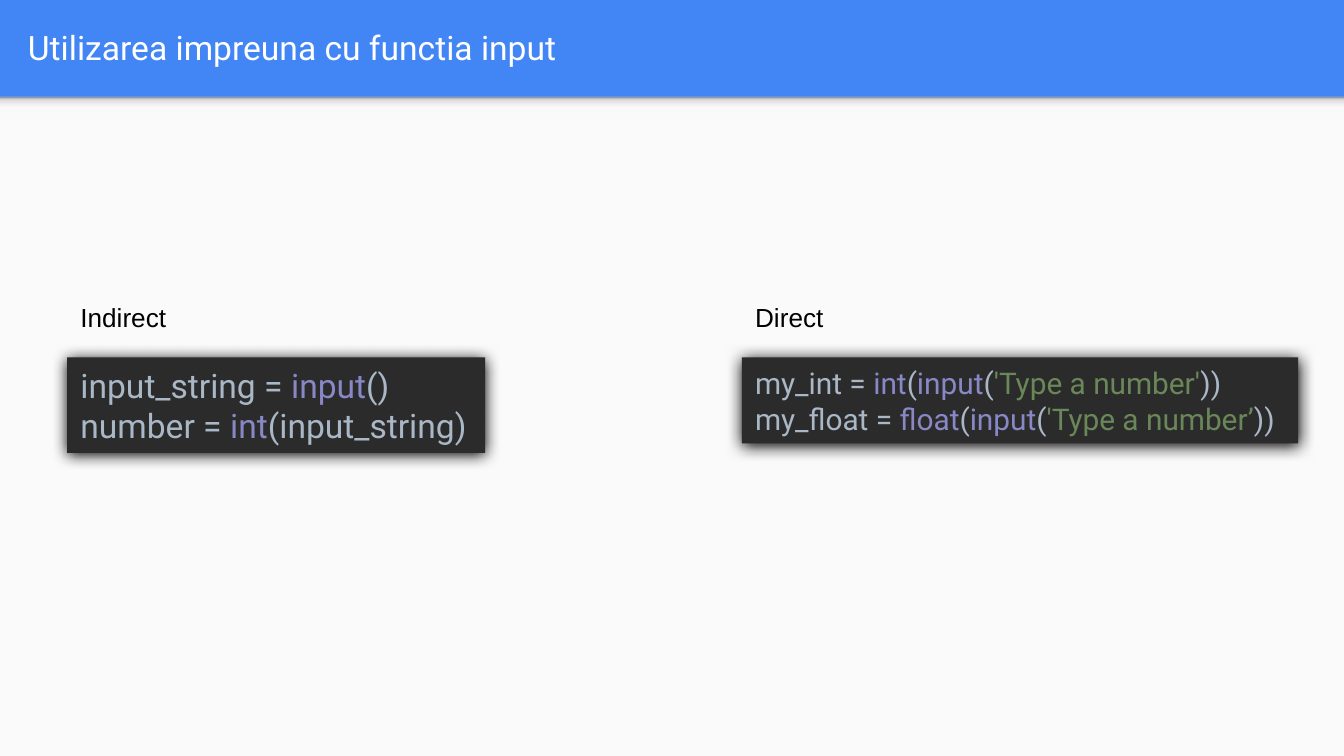
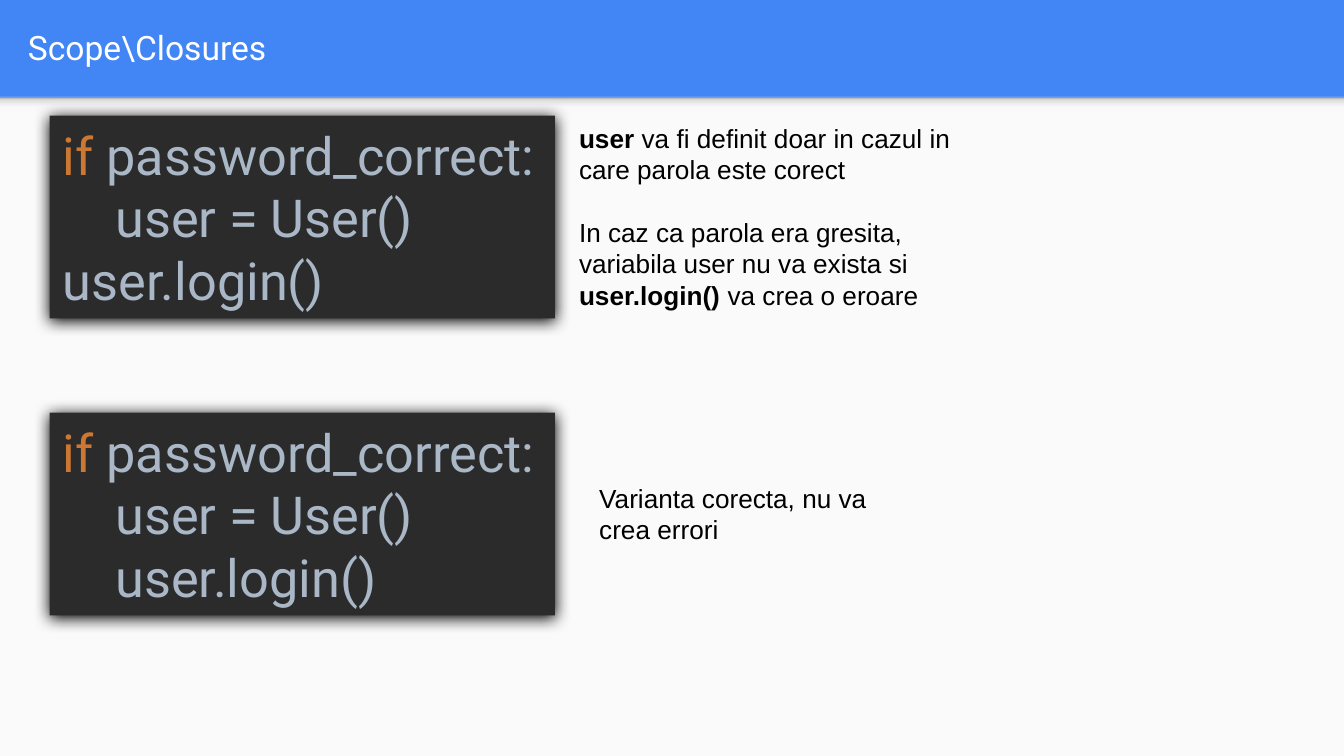
from lxml import etree
from pptx import Presentation
from pptx import util as u
from pptx.dml.color import RGBColor
from pptx.enum import shapes, text
from pptx.oxml.ns import qn

Inches, Pt = u.Inches, u.Pt
SLIDE_WIDTH = 10
SLIDE_HEIGHT = SLIDE_WIDTH * 9 / 16
BLUE, PAPER, WHITE, BLACK = "4285F4", "FAFAFA", "FFFFFF", "000000"
CODE_FILL, PLAIN, BUILTIN, STRING, KEYWORD = "2B2B2B", "A9B7C6", "8888C6", "6A8759", "CC7832"
BAND_HEIGHT = 0.72
BAND_SHADOW = {0: "F9F9F9", 36: "F9F9F9", 80: "DEDEDE", 100: "999999"}
CODE_INDENT = 0.39
NOTE_GAP = 16.8

TITLE = {"size": Pt(18), "name": "Roboto"}
NOTE = {"size": Pt(14), "name": "Arial"}


def color(value):
    """Turn a hex string into a colour."""
    return RGBColor.from_string(value)


def write(shape, lines, font, anchor=text.MSO_ANCHOR.TOP):
    """Write lines of (text, colour, bold) runs, each line with its indent and gap."""
    frame = shape.text_frame
    frame.word_wrap = True
    frame.vertical_anchor = anchor
    for number, (runs, indent, gap) in enumerate(lines):
        paragraph = frame.add_paragraph() if number else frame.paragraphs[0]
        paragraph.alignment = text.PP_ALIGN.LEFT
        paragraph.space_before = Pt(gap)
        if indent:
            properties = paragraph._p.get_or_add_pPr()
            properties.set("marL", str(Inches(indent)))
            properties.set("indent", "0")
        for content, hue, bold in runs:
            run = paragraph.add_run()
            run.text = content
            for key, value in {**font, "bold": bold}.items():
                setattr(run.font, key, value)
            run.font.color.rgb = color(hue)


# Each code box: left, top, width, height, text size, lines of (indent level, runs)
condition = [
    (0, [("if ", KEYWORD), ("password_correct:", PLAIN)]),
    (1, [("user = User()", PLAIN)]),
]
indirect_code = [
    (0, [("input_string = ", PLAIN), ("input", BUILTIN), ("()", PLAIN)]),
    (0, [("number = ", PLAIN), ("int", BUILTIN), ("(input_string)", PLAIN)]),
]
direct_code = [
    (0, [(f"my_{kind} = ", PLAIN), (kind, BUILTIN), ("(", PLAIN), ("input", BUILTIN),
         ("(", PLAIN), (f"'Type a number{quote}", STRING), ("))", PLAIN)])
    for kind, quote in [("int", "'"), ("float", "\u2019")]
]

# Each note: left, top, width, height, lines of (space before, runs of (text, bold))
scope_note = [
    (0, [("user ", True), ("va fi definit doar in cazul in care parola este corect", False)]),
    (NOTE_GAP, [("In caz ca parola era gresita, variabila user nu va exista si ", False)]),
    (0, [("user.login() ", True), ("va crea o eroare", False)]),
]
pages = [
    {
        "title": "Utilizarea impreuna cu functia input",
        "code": [(0.5, 2.66, 3.11, 0.71, 18, indirect_code),
                 (5.52, 2.66, 4.14, 0.64, 16, direct_code)],
        "notes": [(0.5, 2.19, 1.56, 0.34, [(0, [("Indirect", False)])]),
                  (5.52, 2.19, 1.48, 0.34, [(0, [("Direct", False)])])],
    },
    {
        "title": "Scope\\Closures",
        "code": [(0.37, top, 3.76, 1.51, 28, condition + [(level, [("user.login()", PLAIN)])])
                 for top, level in [(0.86, 0), (3.07, 1)]],
        "notes": [(4.21, 0.86, 3.18, 1.51, scope_note),
                  (4.36, 3.54, 2.35, 0.57,
                   [(0, [("Varianta corecta, nu va crea errori", False)])])],
    },
]

presentation = Presentation()
presentation.slide_width = Inches(SLIDE_WIDTH)
presentation.slide_height = Inches(SLIDE_HEIGHT)

for page in pages:
    slide = presentation.slides.add_slide(presentation.slide_layouts[6])
    slide.background.fill.solid()
    slide.background.fill.fore_color.rgb = color(BLUE)

    # Page body and the soft shadow under the title band
    body, shade = [
        slide.shapes.add_shape(shapes.MSO_SHAPE.RECTANGLE, 0, Inches(BAND_HEIGHT),
                               Inches(SLIDE_WIDTH), Inches(height))
        for height in (SLIDE_HEIGHT - BAND_HEIGHT, 0.12)
    ]
    for shape in (body, shade):
        shape.shadow.inherit = False
        shape.line.fill.background()
    body.fill.solid()
    body.fill.fore_color.rgb = color(PAPER)
    shade.fill.gradient()
    shade.fill.gradient_angle = 90
    stops = shade._element.spPr.find(qn("a:gradFill")).find(qn("a:gsLst"))
    for stop in list(stops):
        stops.remove(stop)
    for position, hue in BAND_SHADOW.items():
        stop = etree.SubElement(stops, qn("a:gs"), pos=str(position * 1000))
        etree.SubElement(stop, qn("a:srgbClr"), val=hue)

    title = slide.shapes.add_textbox(Inches(0.11), Inches(0.02), Inches(9.65), Inches(0.66))
    title.text_frame.margin_left = title.text_frame.margin_right = Inches(0.1)
    write(title, [([(page["title"], WHITE, False)], 0, 0)], TITLE, text.MSO_ANCHOR.MIDDLE)

    for *place, size, code in page["code"]:
        box = slide.shapes.add_shape(shapes.MSO_SHAPE.RECTANGLE, *map(Inches, place))
        box.fill.solid()
        box.fill.fore_color.rgb = color(CODE_FILL)
        box.line.fill.background()
        box.shadow.inherit = False
        effects = box._element.spPr.find(qn("a:effectLst"))
        shadow = etree.SubElement(effects, qn("a:outerShdw"), blurRad=str(Pt(8.5)),
                                  dist=str(Pt(1)), dir=str(90 * 60000), rotWithShape="0")
        etree.SubElement(shadow, qn("a:srgbClr"), val=BLACK)
        lines = [([(*run, False) for run in runs], level * CODE_INDENT, 0)
                 for level, runs in code]
        write(box, lines, {"size": Pt(size), "name": "Roboto"}, text.MSO_ANCHOR.MIDDLE)

    for *place, note in page["notes"]:
        box = slide.shapes.add_textbox(*map(Inches, place))
        lines = [([(content, BLACK, bold) for content, bold in runs], 0, gap)
                 for gap, runs in note]
        write(box, lines, NOTE)

presentation.save("out.pptx")
